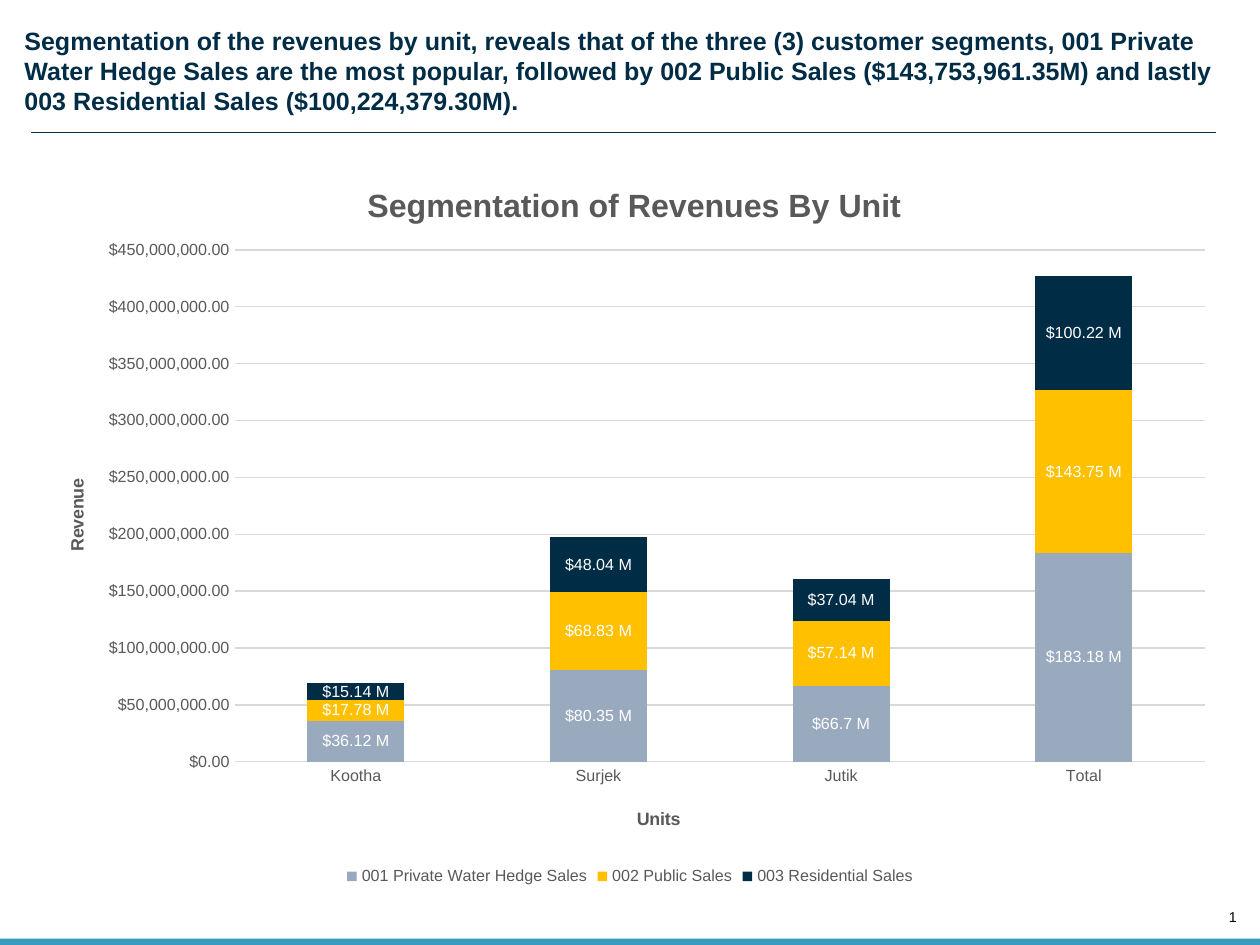
from lxml import etree
from pptx import Presentation
from pptx.chart.data import CategoryChartData
from pptx.dml.color import RGBColor
from pptx.enum.chart import XL_CHART_TYPE, XL_LABEL_POSITION, XL_LEGEND_POSITION, XL_TICK_MARK
from pptx.enum.shapes import MSO_CONNECTOR, MSO_SHAPE
from pptx.enum.text import MSO_ANCHOR, PP_ALIGN
from pptx.oxml.ns import qn
from pptx.util import Inches, Pt

STACKED = XL_CHART_TYPE.COLUMN_STACKED
CENTER = XL_LABEL_POSITION.CENTER
LEGEND_BOTTOM = XL_LEGEND_POSITION.BOTTOM
NO_TICK = XL_TICK_MARK.NONE
RECT = MSO_SHAPE.RECTANGLE
STRAIGHT = MSO_CONNECTOR.STRAIGHT
TOP, BOTTOM = MSO_ANCHOR.TOP, MSO_ANCHOR.BOTTOM
LEFT, RIGHT = PP_ALIGN.LEFT, PP_ALIGN.RIGHT

WIDTH, HEIGHT = 9.8, 7.35
FONT = "Arial"
NAVY, GRAY, GRID, WHITE = "002C46", "595959", "D9D9D9", "FFFFFF"
MILLION = 1_000_000
AXIS_FORMAT = '"$"#,##0.00;[Red]\\-"$"#,##0.00'
LABEL_FORMAT = '"$"#.##,," M";'

HEADLINE = (
    "Segmentation of the revenues by unit, reveals that of the three (3) customer segments, "
    "001 Private Water Hedge Sales are the most popular, followed by 002 Public Sales "
    "($143,753,961.35M) and lastly 003 Residential Sales ($100,224,379.30M)."
)
UNITS = ["Kootha", "Surjek", "Jutik", "Total"]
SEGMENTS = [  # name, colour, revenue in millions
    ("001 Private Water Hedge Sales", "99AABE", [36.12, 80.35, 66.7, 183.18]),
    ("002 Public Sales", "FFC000", [17.78, 68.83, 57.14, 143.75]),
    ("003 Residential Sales", NAVY, [15.14, 48.04, 37.04, 100.22]),
]


def rgb(color):
    return RGBColor.from_string(color)


def box(*lengths):
    return [Inches(n) for n in lengths]


def set_font(font, size, color, bold=False):
    font.name, font.size, font.bold = FONT, Pt(size), bold
    font.color.rgb = rgb(color)


def set_line(line, color):
    line.color.rgb = rgb(color)
    line.width = Pt(0.75)


def add_text(s, place, text, size, color, bold=False, align=LEFT, anchor=TOP):
    tf = s.shapes.add_textbox(*box(*place)).text_frame
    tf.margin_left = tf.margin_right = tf.margin_top = tf.margin_bottom = 0
    tf.word_wrap, tf.vertical_anchor = True, anchor
    p = tf.paragraphs[0]
    p.alignment = align
    r = p.add_run()
    r.text = text
    set_font(r.font, size, color, bold)


def add_bar(s, place, color):
    sp = s.shapes.add_shape(RECT, *box(*place))
    sp.shadow.inherit = False
    sp.fill.solid()
    sp.fill.fore_color.rgb = rgb(color)
    sp.line.fill.background()


def add_rule(s, x1, x2, y, color):
    line = s.shapes.add_connector(STRAIGHT, *box(x1, y, x2, y))
    set_line(line.line, color)
    etree.SubElement(line._element.spPr, qn("a:effectLst"))


def set_layout(parent, index, **shares):
    """Place a chart part by shares of the chart's size."""
    for old in parent.findall(qn("c:layout")):
        parent.remove(old)
    layout = etree.Element(qn("c:layout"))
    manual = etree.SubElement(layout, qn("c:manualLayout"))
    if "w" in shares:
        etree.SubElement(manual, qn("c:layoutTarget"), val="inner")
    for key in ("x", "y"):
        etree.SubElement(manual, qn(f"c:{key}Mode"), val="edge")
    for key, share in shares.items():
        etree.SubElement(manual, qn(f"c:{key}"), val=str(share))
    parent.insert(index, layout)


def set_title(title, text, size, x, y):
    r = title.text_frame.paragraphs[0].add_run()
    r.text = text
    set_font(r.font, size, GRAY, True)
    set_layout(title._element, 1, x=x, y=y)


def style_axis(axis, title, x, y):
    axis.major_tick_mark = axis.minor_tick_mark = NO_TICK
    set_font(axis.tick_labels.font, 9, GRAY)
    set_title(axis.axis_title, title, 10, x, y)


def add_revenue_chart(s, place):
    data = CategoryChartData()
    data.categories = UNITS
    for name, _, revenues in SEGMENTS:
        data.add_series(name, [round(n * MILLION) for n in revenues])
    chart = s.shapes.add_chart(STACKED, *box(*place), data).chart
    set_font(chart.font, 10, "000000")
    set_title(chart.chart_title, "Segmentation of Revenues By Unit", 18, 0.276, 0.04)
    set_layout(chart._chartSpace.chart.plotArea, 0, x=0.17, y=0.136, w=0.81, h=0.69)

    # Columns and their labels
    plot = chart.plots[0]
    plot.gap_width, plot.overlap, plot.vary_by_categories = 150, 100, False
    for series, (_, color, _) in zip(plot.series, SEGMENTS):
        series.format.fill.solid()
        series.format.fill.fore_color.rgb = rgb(color)
        labels = series.data_labels
        labels.show_value, labels.position = True, CENTER
        labels.number_format, labels.number_format_is_linked = LABEL_FORMAT, False
        set_font(labels.font, 9, WHITE)

    # Axes
    style_axis(chart.category_axis, "Units", 0.503, 0.883)
    set_line(chart.category_axis.format.line, GRID)
    values = chart.value_axis
    style_axis(values, "Revenue", 0.026, 0.44)
    values.minimum_scale, values.maximum_scale = 0, 450 * MILLION
    values.major_unit = 50 * MILLION
    values.format.line.fill.background()
    set_line(values.major_gridlines.format.line, GRID)
    values.tick_labels.number_format = AXIS_FORMAT
    values.tick_labels.number_format_is_linked = False

    # Legend
    chart.has_legend = True
    chart.legend.position, chart.legend.include_in_layout = LEGEND_BOTTOM, False
    set_font(chart.legend.font, 9, GRAY)


def main():
    prs = Presentation()
    prs.slide_width, prs.slide_height = box(WIDTH, HEIGHT)
    s = prs.slides.add_slide(prs.slide_layouts[6])

    # Footer
    add_text(s, (9.48, 7.07, 0.14, 0.13), "1", 8, "000000", align=RIGHT, anchor=BOTTOM)
    add_bar(s, (0, HEIGHT - 0.05, WIDTH, 0.05), "379BBD")

    # Headline and rule
    add_text(s, (0.19, 0.2, 9.56, 0.71), HEADLINE, 14, NAVY, bold=True)
    add_rule(s, 0.24, 9.46, 1.03, NAVY)

    add_revenue_chart(s, (0.24, 1.16, 9.32, 5.77))
    prs.save("out.pptx")


if __name__ == "__main__":
    main()
